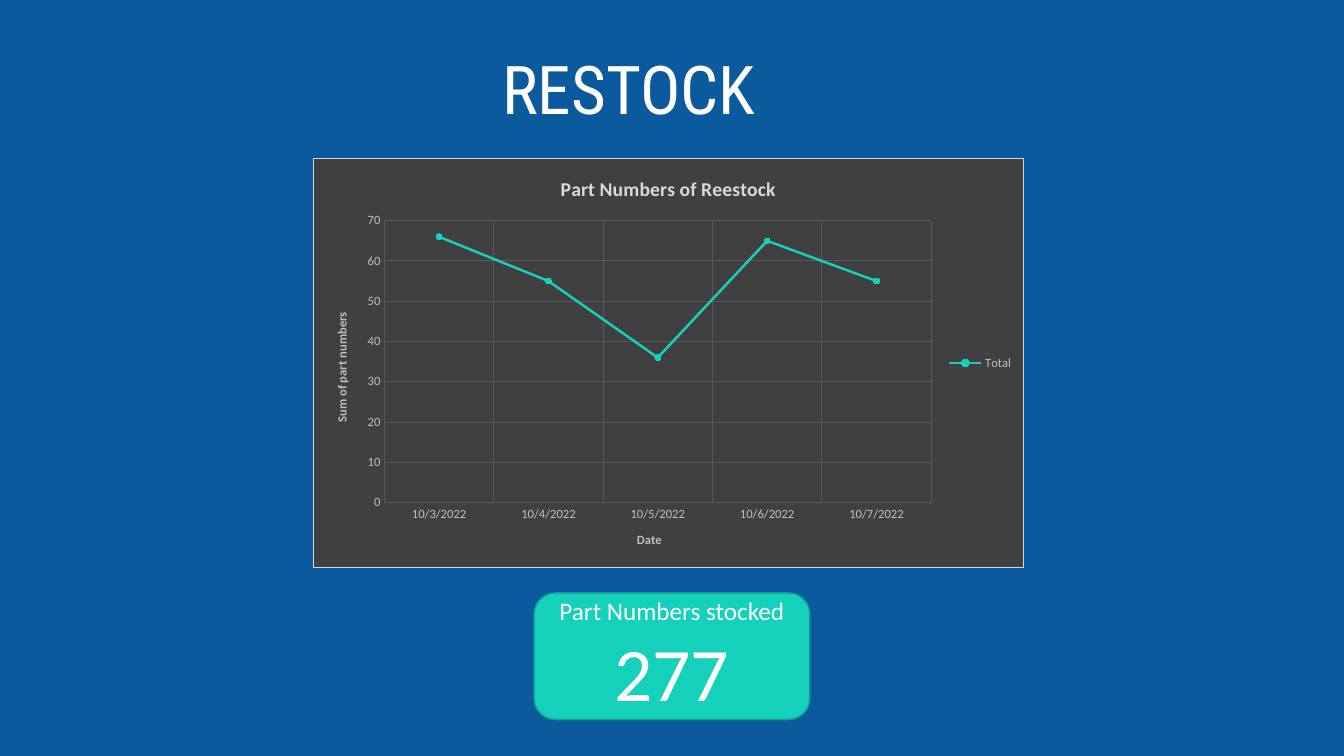
from lxml.etree import SubElement
from pptx import Presentation
from pptx.chart.data import CategoryChartData
from pptx.dml.color import RGBColor
from pptx.enum.chart import XL_CHART_TYPE, XL_LEGEND_POSITION, XL_MARKER_STYLE, XL_TICK_MARK
from pptx.enum.shapes import MSO_SHAPE
from pptx.enum.text import MSO_ANCHOR, PP_ALIGN
from pptx.oxml import parse_xml
from pptx.oxml.ns import nsdecls, qn
from pptx.util import Pt


def color(hex_string):
    return RGBColor.from_string(hex_string)


def format_font(font, size, hex_color, name="Calibri", bold=False):
    font.size, font.name, font.bold = Pt(size), name, bold
    font.color.rgb = color(hex_color)


def write_text(paragraph, text, alignment=PP_ALIGN.CENTER, line_spacing=None, **font_format):
    paragraph.alignment = alignment
    paragraph.line_spacing = line_spacing
    run = paragraph.add_run()
    run.text = text
    format_font(run.font, **font_format)


class SlideBuilder:
    blue, teal, teal_edge = "0C5A9E", "15D1BB", "109B8A"
    white, panel, grid = "FFFFFF", "404040", "595959"
    label, light = "BFBFBF", "D9D9D9"

    def __init__(self, slide):
        self.slide = slide
        slide.background.fill.solid()
        slide.background.fill.fore_color.rgb = color(self.blue)

    def title(self, text, left, top, width, height):
        shape = self.slide.shapes.title
        shape.left, shape.top, shape.width, shape.height = map(Pt, (left, top, width, height))
        frame = shape.text_frame
        frame.margin_left = frame.margin_right = 0
        frame.vertical_anchor = MSO_ANCHOR.BOTTOM
        write_text(frame.paragraphs[0], text, line_spacing=0.9, size=48,
                   hex_color=self.white, name="Roboto Condensed")

    def card(self, caption, number, left, top, width, height):
        shape = self.slide.shapes.add_shape(
            MSO_SHAPE.ROUNDED_RECTANGLE, *map(Pt, (left, top, width, height)))
        shape.shadow.inherit = False
        shape.fill.solid()
        shape.fill.fore_color.rgb = color(self.teal)
        shape.line.color.rgb = color(self.teal_edge)
        shape.line.width = Pt(1)
        frame = shape.text_frame
        frame.word_wrap = True
        frame.vertical_anchor = MSO_ANCHOR.MIDDLE
        write_text(frame.paragraphs[0], caption, size=18, hex_color=self.white)
        write_text(frame.add_paragraph(), number, size=54, hex_color=self.white)

    def axis(self, axis, title):
        axis.major_tick_mark = axis.minor_tick_mark = XL_TICK_MARK.NONE
        axis.format.line.fill.background()
        axis.has_major_gridlines = True
        gridline = axis.major_gridlines.format.line
        gridline.color.rgb = color(self.grid)
        gridline.width = Pt(0.75)
        format_font(axis.tick_labels.font, 9, self.label)
        write_text(axis.axis_title.text_frame.paragraphs[0], title,
                   size=9, hex_color=self.label, bold=True)

    def line_chart(self, title, data, category_title, value_title, left, top, width, height):
        chart = self.slide.shapes.add_chart(
            XL_CHART_TYPE.LINE_MARKERS, *map(Pt, (left, top, width, height)), data).chart
        format_font(chart.font, 10, self.label)
        chart.has_title = True
        write_text(chart.chart_title.text_frame.paragraphs[0], title,
                   size=14, hex_color=self.light, bold=True)
        chart.has_legend = True
        chart.legend.position = XL_LEGEND_POSITION.RIGHT
        chart.legend.include_in_layout = False
        format_font(chart.legend.font, 9, self.label)

        # Axes
        self.axis(chart.category_axis, category_title)
        self.axis(chart.value_axis, value_title)
        value_axis = chart.value_axis
        value_axis.minimum_scale, value_axis.maximum_scale, value_axis.major_unit = 0, 70, 10
        value_axis.axis_title.text_frame._txBody.bodyPr.set("rot", "-5400000")

        # Series
        chart.plots[0].vary_by_categories = False
        series = chart.plots[0].series[0]
        series.smooth = False
        series.format.line.color.rgb = color(self.teal)
        series.format.line.width = Pt(1.75)
        series.marker.style = XL_MARKER_STYLE.CIRCLE
        series.marker.size = 4
        series.marker.format.fill.solid()
        series.marker.format.fill.fore_color.rgb = color(self.teal)
        series.marker.format.line.color.rgb = color(self.teal)

        # Panel fill and border
        chart_space = chart.element
        chart_space.find(qn("c:chart")).addnext(parse_xml(
            f'<c:spPr {nsdecls("c", "a")}>'
            f'<a:solidFill><a:srgbClr val="{self.panel}"/></a:solidFill>'
            f'<a:ln w="{Pt(0.75)}"><a:solidFill><a:srgbClr val="{self.light}"/></a:solidFill></a:ln>'
            '</c:spPr>'))

        # Plot area as fractions of the chart
        plot_area = chart_space.find(qn("c:chart")).find(qn("c:plotArea"))
        layout = plot_area.find(qn("c:layout"))
        if layout is None:
            layout = parse_xml(f'<c:layout {nsdecls("c")}/>')
            plot_area.insert(0, layout)
        manual = SubElement(layout, qn("c:manualLayout"))
        for tag, value in (("layoutTarget", "inner"), ("xMode", "edge"), ("yMode", "edge"),
                           ("x", "0.1"), ("y", "0.153"), ("w", "0.77"), ("h", "0.688")):
            SubElement(manual, qn(f"c:{tag}")).set("val", value)


def main():
    presentation = Presentation()
    presentation.slide_width, presentation.slide_height = Pt(960), Pt(540)
    builder = SlideBuilder(presentation.slides.add_slide(presentation.slide_layouts[5]))

    # Heading
    builder.title("RESTOCK", 167, 26, 564.5, 70)

    # Total card
    builder.card("Part Numbers stocked", "277", 381.5, 423.5, 197, 90.5)

    # Daily restock chart
    data = CategoryChartData()
    data.categories = [f"10/{day}/2022" for day in range(3, 8)]
    data.add_series("Total", (66, 55, 36, 65, 55))
    builder.line_chart("Part Numbers of Reestock", data, "Date", "Sum of part numbers",
                       223.5, 112.5, 508, 293.5)

    presentation.save("out.pptx")


if __name__ == "__main__":
    main()
